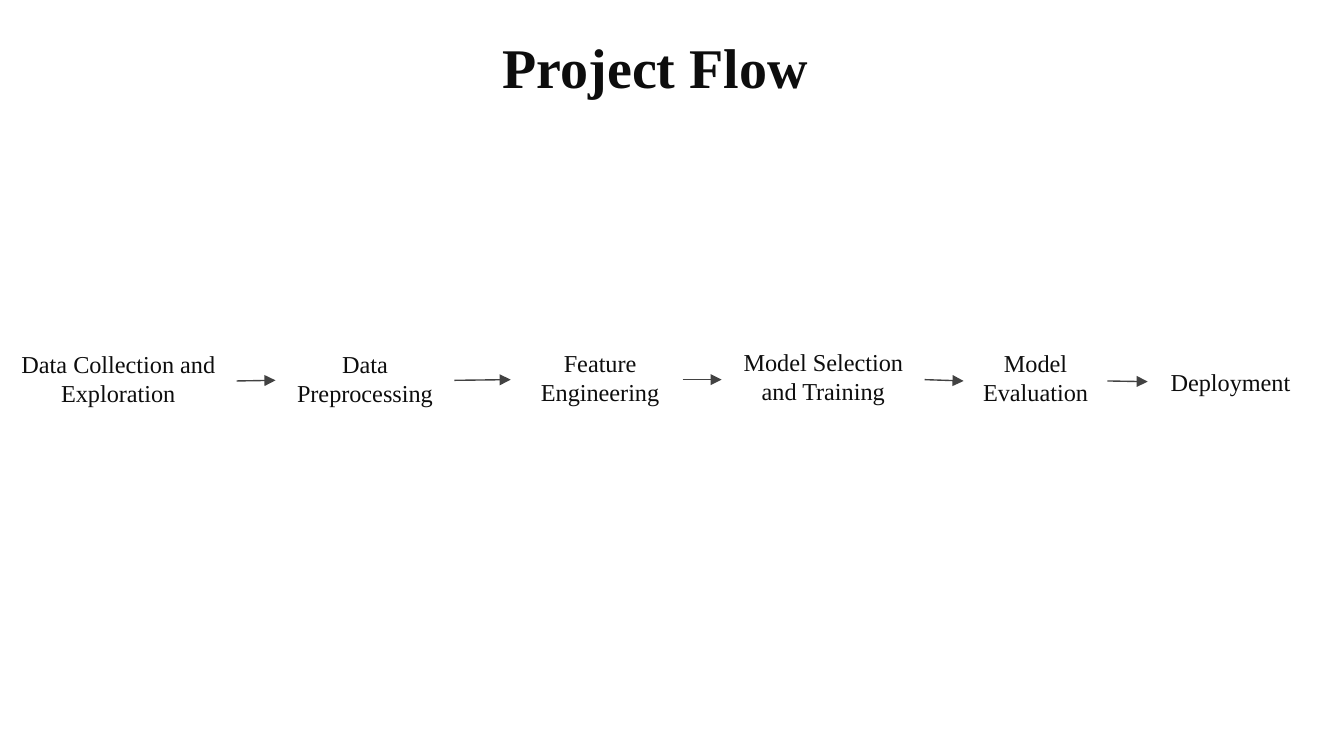
import dataclasses

import pptx
import pptx.dml.color
import pptx.enum.shapes
import pptx.enum.text
import pptx.oxml
import pptx.oxml.ns
import pptx.util

ANCHOR = pptx.enum.text.MSO_ANCHOR
LEFT_SIDE, RIGHT_SIDE = 1, 3


@dataclasses.dataclass(frozen=True)
class Theme:
    font: str = "Times New Roman"
    ink: str = "0D0D0D"
    arrow: str = "424242"
    background: str = "FFFFFF"
    title_size: float = 30
    step_size: float = 13
    arrow_width: float = 0.75


THEME = Theme()
SLIDE_WIDTH = pptx.util.Inches(10)
SLIDE_HEIGHT = SLIDE_WIDTH * 9 // 16
CELL = SLIDE_WIDTH / 100  # square grid, 100 columns across the slide

# Label, left, top, width and height in grid cells, vertical anchor
STEPS = [
    ("Data Collection and Exploration", 0, 25, 17.6, 6.7, ANCHOR.TOP),
    ("Data Preprocessing", 20.5, 25, 13.3, 6.6, ANCHOR.TOP),
    ("Feature Engineering", 38.5, 24.9, 12.3, 6.7, ANCHOR.TOP),
    ("Model Selection and Training", 53.7, 24.8, 15.1, 6.9, ANCHOR.TOP),
    ("Model Evaluation", 71.7, 24.9, 10.7, 6.9, ANCHOR.TOP),
    ("Deployment", 85.4, 25.3, 12.3, 6.2, ANCHOR.MIDDLE),
]
# The arrow into this step stops short of its box
SHORT_ARROW_STEP = "Feature Engineering"
SHORT_ARROW_GAP = 0.5


def cells(count):
    return round(count * CELL)


def rgb(value):
    return pptx.dml.color.RGBColor.from_string(value)


def add_label(slide, text, box, size, anchor, inset, bold=False, line_spacing=1.0):
    label = slide.shapes.add_textbox(*map(cells, box))
    frame = label.text_frame
    frame.word_wrap = True
    frame.vertical_anchor = anchor
    frame.margin_left = frame.margin_right = cells(inset[0])
    frame.margin_top = frame.margin_bottom = cells(inset[1])
    paragraph = frame.paragraphs[0]
    paragraph.alignment = pptx.enum.text.PP_ALIGN.CENTER
    paragraph.line_spacing = line_spacing
    run = paragraph.add_run()
    run.text = text
    run.font.name = THEME.font
    run.font.size = pptx.util.Pt(size)
    run.font.bold = bold
    run.font.color.rgb = rgb(THEME.ink)
    return label


def add_arrow(slide, source, target, gap=0):
    arrow = slide.shapes.add_connector(
        pptx.enum.shapes.MSO_CONNECTOR.STRAIGHT,
        source.left + source.width, source.top + source.height // 2,
        target.left - cells(gap), target.top + target.height // 2,
    )
    arrow.begin_connect(source, RIGHT_SIDE)
    if not gap:
        arrow.end_connect(target, LEFT_SIDE)
    arrow.line.color.rgb = rgb(THEME.arrow)
    arrow.line.width = pptx.util.Pt(THEME.arrow_width)
    # Arrowhead, and no shadow
    namespace = pptx.oxml.ns.nsdecls("a")
    arrow.line._get_or_add_ln().append(
        pptx.oxml.parse_xml(f'<a:tailEnd {namespace} type="triangle"/>'))
    arrow._element.spPr.append(pptx.oxml.parse_xml(f"<a:effectLst {namespace}/>"))


def main():
    presentation = pptx.Presentation()
    presentation.slide_width = SLIDE_WIDTH
    presentation.slide_height = SLIDE_HEIGHT
    slide = presentation.slides.add_slide(presentation.slide_layouts[6])
    slide.background.fill.solid()
    slide.background.fill.fore_color.rgb = rgb(THEME.background)

    # Title
    add_label(slide, "Project Flow", (21, 3, 55.5, 9.5), THEME.title_size,
              ANCHOR.TOP, (0.7, 0), bold=True, line_spacing=0.9)

    # Steps of the project
    steps = [
        add_label(slide, name, box, THEME.step_size, anchor, (1, 1))
        for name, *box, anchor in STEPS
    ]

    # Arrows from each step to the next
    for source, target in zip(steps, steps[1:]):
        is_short = target.text_frame.text == SHORT_ARROW_STEP
        add_arrow(slide, source, target, SHORT_ARROW_GAP if is_short else 0)

    presentation.save("out.pptx")


if __name__ == "__main__":
    main()
